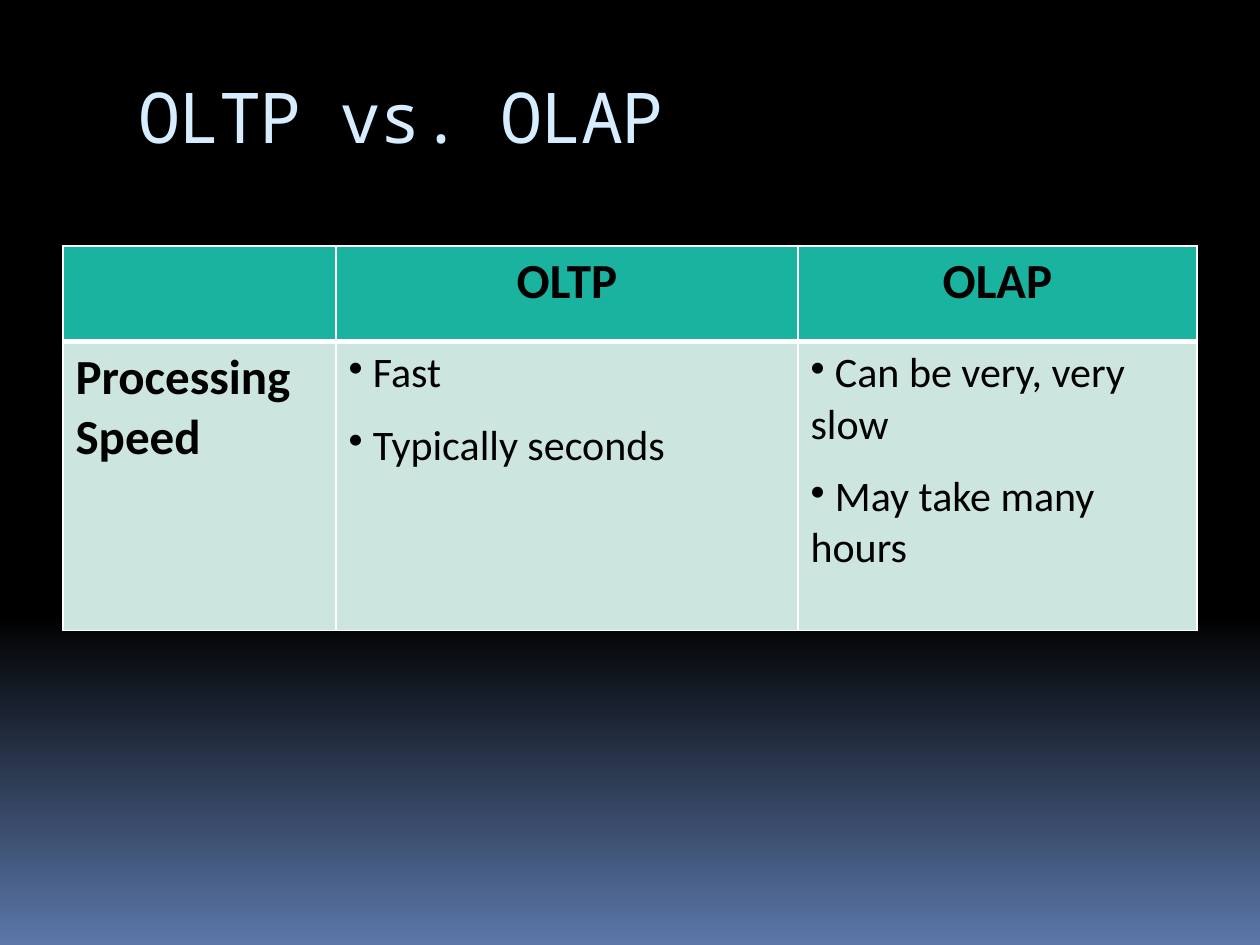
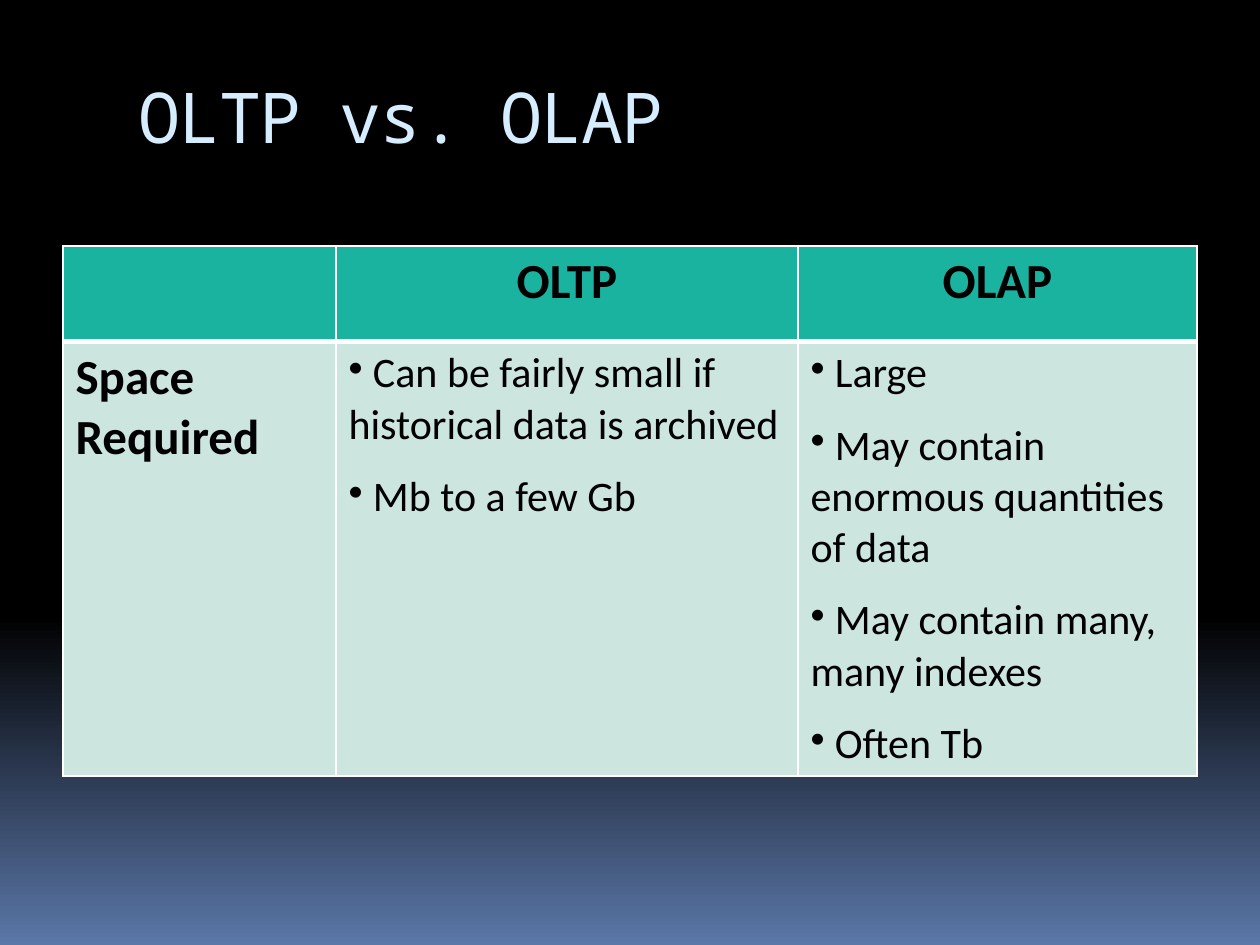
from dataclasses import dataclass

import pptx
import pptx.dml.color
import pptx.enum.text
import pptx.oxml
import pptx.oxml.ns
import pptx.presentation
import pptx.table
import pptx.text.text
import pptx.util
from pptx.dml.color import RGBColor
from pptx.util import Pt

BLACK = RGBColor(0x00, 0x00, 0x00)
WHITE = RGBColor(0xFF, 0xFF, 0xFF)
DUSK_BLUE = RGBColor(0x5B, 0x77, 0xA8)
TITLE_BLUE = RGBColor(0xD6, 0xEC, 0xFF)
TEAL = RGBColor(0x1A, 0xB3, 0x9F)
PALE_TEAL = RGBColor(0xCD, 0xE5, 0xDF)

TITLE = "OLTP vs. OLAP"
TITLE_FONT = "Noto Sans Mono"
BODY_FONT = "Calibri"
HEADERS = ("", "OLTP", "OLAP")
COLUMN_WIDTHS = (Pt(156), Pt(264), Pt(228))
HEADER_HEIGHT = Pt(54.75)
TITLE_ONLY = 5


@dataclass(frozen=True)
class Comparison:
    aspect: str
    oltp: tuple[str, ...]
    olap: tuple[str, ...]
    row_height: pptx.util.Length


COMPARISONS = (
    Comparison(
        "Processing Speed",
        ("Fast", "Typically seconds"),
        ("Can be very, very slow", "May take many hours"),
        Pt(165),
    ),
    Comparison(
        "Space Required",
        ("Can be fairly small if historical data is archived", "Mb to a few Gb"),
        (
            "Large",
            "May contain enormous quantities of data",
            "May contain many, many indexes",
            "Often Tb",
        ),
        Pt(244.75),
    ),
)


def set_background(prs: pptx.presentation.Presentation) -> None:
    fill = prs.slide_master.background.fill
    fill.gradient()
    fill.gradient_angle = 270
    stops = ((0.65, BLACK), (1.0, DUSK_BLUE))
    for stop, (position, color) in zip(fill.gradient_stops, stops):
        stop.position = position
        stop.color.rgb = color


def format_runs(
    p: pptx.text.text._Paragraph, font: str, size: int, color: RGBColor, bold: bool
) -> None:
    for r in p.runs:
        r.font.name = font
        r.font.size = Pt(size)
        r.font.color.rgb = color
        r.font.bold = bold


def set_title(sp: pptx.shapes.placeholder.SlidePlaceholder) -> None:
    sp.left, sp.top, sp.width, sp.height = Pt(72), Pt(40.25), Pt(612), Pt(72)
    tf = sp.text_frame
    tf.text = TITLE
    tf.vertical_anchor = pptx.enum.text.MSO_ANCHOR.TOP
    tf.margin_top = Pt(1.5)
    p = tf.paragraphs[0]
    p.alignment = pptx.enum.text.PP_ALIGN.LEFT
    format_runs(p, TITLE_FONT, 40, TITLE_BLUE, False)
    for r in p.runs:
        r.font._element.set("spc", "-100")


def style_cell(cell: pptx.table._Cell, color: RGBColor, bottom: int) -> None:
    """Fill the cell and rule its edges, with its own bottom width in points."""
    tc_pr = cell._tc.get_or_add_tcPr()
    for edge, width in (("L", 1), ("R", 1), ("T", 1), ("B", bottom)):
        tc_pr.append(pptx.oxml.parse_xml(
            f'<a:ln{edge} {pptx.oxml.ns.nsdecls("a")} w="{Pt(width)}">'
            f'<a:solidFill><a:srgbClr val="{WHITE}"/></a:solidFill></a:ln{edge}>'
        ))
    cell.fill.solid()
    cell.fill.fore_color.rgb = color


def write_heading(
    cell: pptx.table._Cell, text: str, alignment: pptx.enum.text.PP_ALIGN
) -> None:
    cell.text_frame.text = text
    p = cell.text_frame.paragraphs[0]
    p.alignment = alignment
    format_runs(p, BODY_FONT, 28, BLACK, True)


def write_bullets(cell: pptx.table._Cell, items: tuple[str, ...]) -> None:
    tf = cell.text_frame
    tf.text = "\n".join(f" {item}" for item in items)
    for p in tf.paragraphs:
        p.space_before = p.space_after = Pt(6)
        p_pr = p._p.get_or_add_pPr()
        p_pr.set("marL", "0")
        p_pr.set("indent", "0")
        p_pr.append(pptx.oxml.parse_xml(
            f'<a:buChar {pptx.oxml.ns.nsdecls("a")} char="•"/>'
        ))
        format_runs(p, BODY_FONT, 24, BLACK, False)


def add_comparison_slide(
    prs: pptx.presentation.Presentation, comparison: Comparison
) -> None:
    s = prs.slides.add_slide(prs.slide_layouts[TITLE_ONLY])
    set_title(s.shapes.title)
    table = s.shapes.add_table(
        2, len(HEADERS), Pt(36), Pt(140.5),
        sum(COLUMN_WIDTHS), HEADER_HEIGHT + comparison.row_height,
    ).table
    for column, width in zip(table.columns, COLUMN_WIDTHS):
        column.width = width
    table.rows[0].height = HEADER_HEIGHT
    table.rows[1].height = comparison.row_height

    for i, header in enumerate(HEADERS):
        style_cell(table.cell(0, i), TEAL, bottom=3)
        style_cell(table.cell(1, i), PALE_TEAL, bottom=1)
        write_heading(table.cell(0, i), header, pptx.enum.text.PP_ALIGN.CENTER)
    # Both rows share the 3 pt rule below the header.
    for i in range(len(HEADERS)):
        top = table.cell(1, i)._tc.tcPr.find(pptx.oxml.ns.qn("a:lnT"))
        top.set("w", str(Pt(3)))

    write_heading(table.cell(1, 0), comparison.aspect, pptx.enum.text.PP_ALIGN.LEFT)
    write_bullets(table.cell(1, 1), comparison.oltp)
    write_bullets(table.cell(1, 2), comparison.olap)


def main() -> None:
    prs = pptx.Presentation()
    prs.slide_width, prs.slide_height = Pt(720), Pt(540)
    set_background(prs)
    for comparison in COMPARISONS:
        add_comparison_slide(prs, comparison)
    prs.save("out.pptx")


if __name__ == "__main__":
    main()
